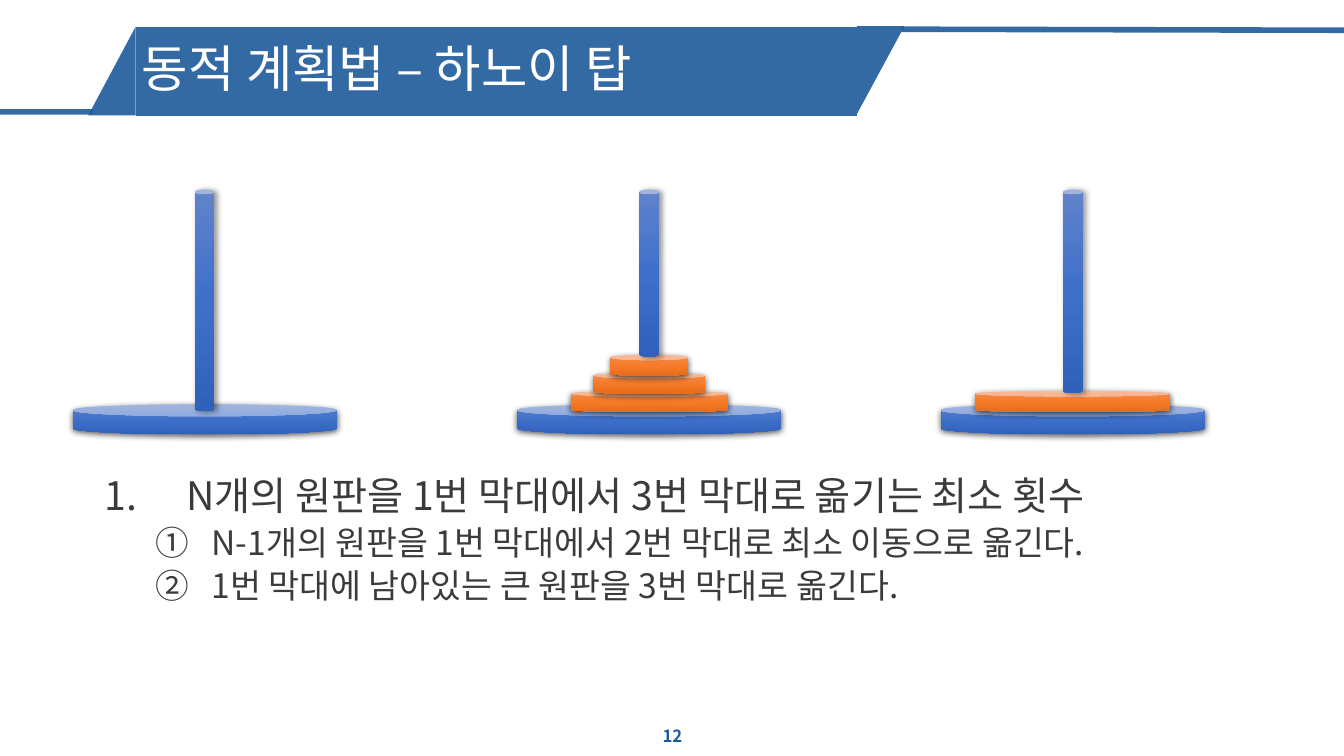
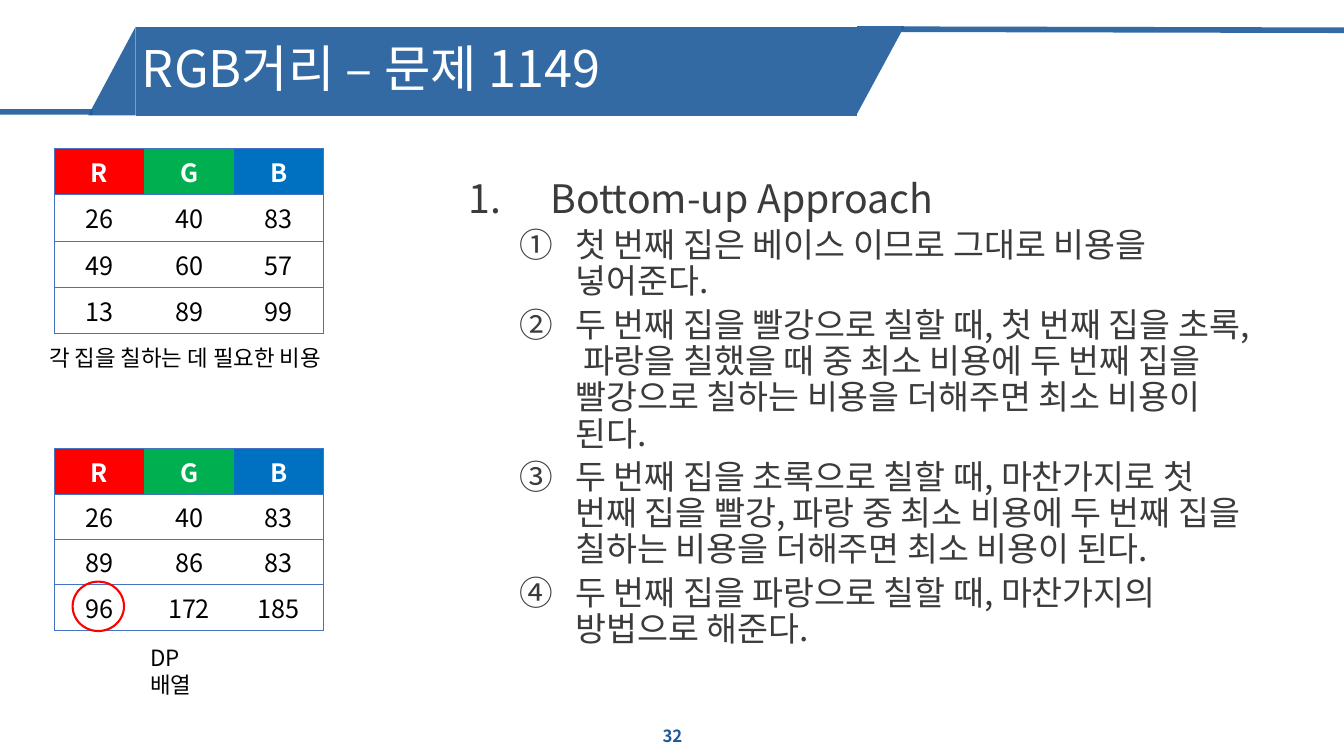
"""Build two lecture slides on dynamic programming: Tower of Hanoi and RGB street."""
from dataclasses import dataclass

from lxml.etree import SubElement
from pptx import Presentation
from pptx.dml.color import RGBColor
from pptx.enum.shapes import MSO_CONNECTOR, MSO_SHAPE
from pptx.enum.text import MSO_ANCHOR, PP_ALIGN
from pptx.oxml.ns import qn
from pptx.util import Inches, Pt

FONT = "Noto Sans CJK KR"
COLUMNS, ROWS = 13.33, 7.5
WIDTH, HEIGHT = Inches(COLUMNS), Inches(ROWS)
NAVY, WHITE, BLACK, CHARCOAL = "1E5A9B", "FFFFFF", "000000", "3B3B3B"
RED, GREEN, BLUE, TABLE_BORDER = "FF0000", "00B050", "0070C0", "4472C4"
BLUE_SHADES = ("6183CB", "3E70CA", "3062BB")
ORANGE_SHADES = ("F18C57", "F67B28", "E56C19")
BASE_TOP, BASE_WIDTH, BASE_HEIGHT = 4.01, 2.62, 0.3
DISK_TOP, DISK_STEP, DISK_HEIGHT = 3.88, 0.18, 0.21
ROD_TOP, ROD_BOTTOM, ROD_WIDTH = 1.88, 4.08, 0.2
COST_COLUMN = 0.89


@dataclass(frozen=True)
class Area:
    """A rectangle in grid columns and rows."""
    column: float
    row: float
    columns: float
    rows: float

    def box(self) -> tuple:
        """Return left, top, width and height as lengths."""
        return (across(self.column), down(self.row),
                across(self.columns), down(self.rows))


@dataclass(frozen=True)
class TextStyle:
    """The look of a run of text."""
    size: float
    colour: str
    bold: bool = False


@dataclass(frozen=True)
class Shadow:
    """An outer shadow: opacity in percent, lengths in points, angle in degrees."""
    opacity: int
    blur: float
    distance: float
    angle: int


@dataclass(frozen=True)
class Tower:
    """A rod on a base with disks from the bottom up."""
    centre: float
    disks: tuple = ()


@dataclass(frozen=True)
class CostTable:
    """A table of house painting costs with its caption."""
    top: float
    row_height: float
    costs: tuple
    caption: str
    caption_area: Area


TITLE = TextStyle(36, WHITE)
PAGE_NUMBER = TextStyle(12, NAVY, True)
HEADING = TextStyle(28, CHARCOAL)
STEP = TextStyle(24, CHARCOAL)
CAPTION = TextStyle(16, BLACK)
COST_HEADER = TextStyle(18, WHITE, True)
COST = TextStyle(18, BLACK)
FLAT_SHADOW = Shadow(63, 4.5, 1.5, 90)
ROD_SHADOW = Shadow(40, 4, 2, 20)
TRIANGLES = ((Area(8.3, 0.46, 0.87, 0.47), 90), (Area(0.67, 0.47, 0.88, 0.47), 270))
RULES = ((0.92, 1.11, -0.03, 1.11), (COLUMNS, 0.3, 8.94, 0.29))
TOWERS = (Tower(2.03), Tower(6.44, (1.56, 1.11, 0.77)), Tower(10.64, (1.93,)))
COST_HEADERS = (("R", RED), ("G", GREEN), ("B", BLUE))
COST_TABLES = (
    CostTable(1.47, 0.46, ((26, 40, 83), (49, 60, 57), (13, 89, 99)),
              "각 집을 칠하는 데 필요한 비용", Area(0.39, 3.36, 2.9, 0.62)),
    CostTable(4.45, 0.45, ((26, 40, 83), (89, 86, 83), (96, 172, 185)),
              "DP 배열", Area(1.39, 6.34, 0.9, 0.62)),
)
HANOI_STEPS = (
    "N-1개의 원판을 1번 막대에서 2번 막대로 최소 이동으로 옮긴다.",
    "1번 막대에 남아있는 큰 원판을 3번 막대로 옮긴다.",
)
STREET_STEPS = (
    "첫 번째 집은 베이스 이므로 그대로 비용을 넣어준다.",
    "두 번째 집을 빨강으로 칠할 때, 첫 번째 집을 초록, 파랑을 칠했을 때 중 최소 비용에 "
    "두 번째 집을 빨강으로 칠하는 비용을 더해주면 최소 비용이 된다.",
    "두 번째 집을 초록으로 칠할 때, 마찬가지로 첫 번째 집을 빨강, 파랑 중 최소 비용에 "
    "두 번째 집을 칠하는 비용을 더해주면 최소 비용이 된다.",
    "두 번째 집을 파랑으로 칠할 때, 마찬가지의 방법으로 해준다.",
)


def across(columns: float) -> int:
    """Turn grid columns into a length."""
    return round(WIDTH * columns / COLUMNS)


def down(rows: float) -> int:
    """Turn grid rows into a length."""
    return round(HEIGHT * rows / ROWS)


def rgb(value: str) -> RGBColor:
    """Turn a hex string into a colour."""
    return RGBColor.from_string(value)


def child(parent, tag: str, **attributes):
    """Append a drawing element with its attributes."""
    return SubElement(parent, qn(f"a:{tag}"),
                      {key: str(value) for key, value in attributes.items()})


def add_run(paragraph, words: str, style: TextStyle) -> None:
    """Add one styled run to a paragraph."""
    run = paragraph.add_run()
    run.text = words
    run.font.size = Pt(style.size)
    run.font.bold = style.bold
    run.font.color.rgb = rgb(style.colour)
    run.font.name = FONT
    child(run.font._element, "ea", typeface=FONT)


def add_frame(slide, area: Area, anchor=MSO_ANCHOR.TOP):
    """Add an empty wrapping text box and return its frame."""
    frame = slide.shapes.add_textbox(*area.box()).text_frame
    frame.word_wrap = True
    frame.vertical_anchor = anchor
    return frame


def make_translucent(fill) -> None:
    """Paint a fill in slightly transparent navy."""
    fill.solid()
    fill.fore_color.rgb = rgb(NAVY)
    colour = fill._xPr.find(qn("a:solidFill")).find(qn("a:srgbClr"))
    child(colour, "alpha", val=90000)


def add_band_part(slide, kind, area: Area, rotation: int = 0) -> None:
    """Add one piece of the title band."""
    part = slide.shapes.add_shape(kind, *area.box())
    part.rotation = rotation
    part.shadow.inherit = False
    part.line.fill.background()
    make_translucent(part.fill)


def add_rule(slide, x1: float, y1: float, x2: float, y2: float) -> None:
    """Add one line beside the title band."""
    rule = slide.shapes.add_connector(
        MSO_CONNECTOR.STRAIGHT, across(x1), down(y1), across(x2), down(y2))
    rule.line.width = Pt(4)
    make_translucent(rule.line.fill)
    child(rule._element.spPr, "effectLst")


def add_slide(deck, title: str, number: str):
    """Add a blank slide with the title band and page number."""
    slide = deck.slides.add_slide(deck.slide_layouts[6])
    for area, rotation in TRIANGLES:
        add_band_part(slide, MSO_SHAPE.RIGHT_TRIANGLE, area, rotation)
    for rule in RULES:
        add_rule(slide, *rule)
    add_band_part(slide, MSO_SHAPE.RECTANGLE, Area(1.35, 0.27, 7.15, 0.88))
    page = add_frame(slide, Area(5.17, 7.1, 3, 0.4), MSO_ANCHOR.MIDDLE).paragraphs[0]
    page.alignment = PP_ALIGN.CENTER
    add_run(page, number, PAGE_NUMBER)
    heading = add_frame(slide, Area(1.31, 0.3, 7.15, 0.81), MSO_ANCHOR.MIDDLE).paragraphs[0]
    heading.line_spacing = 0.9
    add_run(heading, title, TITLE)
    return slide


def add_numbered(paragraph, words: str, style: TextStyle, scheme: str,
                 margin: float, hanging: float) -> None:
    """Fill a paragraph with automatically numbered text."""
    properties = paragraph._p.get_or_add_pPr()
    properties.set("marL", str(across(margin)))
    properties.set("indent", str(-across(hanging)))
    child(properties, "buFont", typeface=FONT)
    child(properties, "buAutoNum", type=scheme)
    paragraph.line_spacing = 0.9
    add_run(paragraph, words, style)


def add_outline(slide, area: Area, heading: str, steps: tuple) -> None:
    """Add a numbered heading with circled steps."""
    frame = add_frame(slide, area)
    add_numbered(frame.paragraphs[0], heading, HEADING, "arabicPeriod", 0.81, 0.81)
    for step in steps:
        paragraph = frame.add_paragraph()
        paragraph.level = 1
        add_numbered(paragraph, step, STEP, "circleNumDbPlain", 1.06, 0.56)
        paragraph.space_before = Pt(5)


def add_cylinder(slide, area: Area, shades: tuple, shadow: Shadow,
                 rim: float = 0.25) -> None:
    """Add a shaded cylinder with a soft shadow."""
    cylinder = slide.shapes.add_shape(MSO_SHAPE.CAN, *area.box())
    cylinder.adjustments[0] = rim
    cylinder.line.fill.background()
    properties = cylinder._element.spPr
    gradient = child(properties, "gradFill", rotWithShape=1)
    stops = child(gradient, "gsLst")
    for index, shade in enumerate(shades):
        child(child(stops, "gs", pos=index * 50000), "srgbClr", val=shade)
    child(gradient, "lin", ang=90 * 60000, scaled=0)
    properties.find(qn("a:ln")).addprevious(gradient)
    outer = child(child(properties, "effectLst"), "outerShdw",
                  blurRad=Pt(shadow.blur), dist=Pt(shadow.distance),
                  dir=shadow.angle * 60000, algn="ctr", rotWithShape=0)
    child(child(outer, "srgbClr", val=BLACK), "alpha", val=shadow.opacity * 1000)


def add_tower(slide, tower: Tower) -> None:
    """Add a base, its disks and the rod above them."""
    def centred(width: float, top: float, height: float) -> Area:
        """Centre an area on the rod."""
        return Area(tower.centre - width / 2, top, width, height)

    add_cylinder(slide, centred(BASE_WIDTH, BASE_TOP, BASE_HEIGHT),
                 BLUE_SHADES, FLAT_SHADOW, 0.4)
    for level, width in enumerate(tower.disks):
        add_cylinder(slide, centred(width, DISK_TOP - level * DISK_STEP, DISK_HEIGHT),
                     ORANGE_SHADES, FLAT_SHADOW)
    rod_height = ROD_BOTTOM - len(tower.disks) * DISK_STEP - ROD_TOP
    add_cylinder(slide, centred(ROD_WIDTH, ROD_TOP, rod_height), BLUE_SHADES, ROD_SHADOW)


def set_borders(cell, column: int) -> None:
    """Draw row lines and outer sides, leaving inner sides open."""
    properties = cell._tc.get_or_add_tcPr()
    drawn = {"lnL": column == 0, "lnR": column == len(COST_HEADERS) - 1,
             "lnT": True, "lnB": True}
    for index, (side, visible) in enumerate(drawn.items()):
        border = child(properties, side, w=Pt(0.5))
        if visible:
            child(child(border, "solidFill"), "srgbClr", val=TABLE_BORDER)
        else:
            child(border, "noFill")
        properties.insert(index, border)


def add_cost_table(slide, table: CostTable) -> None:
    """Add a cost table and its caption."""
    count, width = len(table.costs) + 1, len(COST_HEADERS)
    area = Area(0.54, table.top, COST_COLUMN * width, table.row_height * count)
    grid = slide.shapes.add_table(count, width, *area.box()).table
    grid.first_row = grid.horz_banding = False
    lines = (tuple(name for name, _ in COST_HEADERS), *table.costs)
    for row, line in enumerate(lines):
        for column, value in enumerate(line):
            cell = grid.cell(row, column)
            cell.margin_top = cell.margin_bottom = down(0.03)
            cell.vertical_anchor = MSO_ANCHOR.MIDDLE
            if row == 0:
                cell.fill.solid()
                cell.fill.fore_color.rgb = rgb(COST_HEADERS[column][1])
            else:
                cell.fill.background()
            set_borders(cell, column)
            paragraph = cell.text_frame.paragraphs[0]
            paragraph.alignment = PP_ALIGN.CENTER
            add_run(paragraph, str(value), COST if row else COST_HEADER)
    add_run(add_frame(slide, table.caption_area).paragraphs[0], table.caption, CAPTION)


def main() -> None:
    """Build and save both slides."""
    deck = Presentation()
    deck.slide_width, deck.slide_height = WIDTH, HEIGHT
    hanoi = add_slide(deck, "동적 계획법 – 하노이 탑", "12")
    for tower in TOWERS:
        add_tower(hanoi, tower)
    add_outline(hanoi, Area(0.94, 4.68, 11.46, 2.03),
                "N개의 원판을 1번 막대에서 3번 막대로 옮기는 최소 횟수", HANOI_STEPS)
    street = add_slide(deck, "RGB거리 – 문제 1149", "32")
    add_outline(street, Area(4.55, 1.73, 7.85, 4.97), "Bottom-up Approach", STREET_STEPS)
    for table in COST_TABLES:
        add_cost_table(street, table)
    answer = street.shapes.add_shape(MSO_SHAPE.OVAL, *Area(0.72, 5.77, 0.51, 0.49).box())
    answer.shadow.inherit = False
    answer.fill.background()
    answer.line.color.rgb = rgb(RED)
    answer.line.width = Pt(1.5)
    deck.save("out.pptx")


if __name__ == "__main__":
    main()
